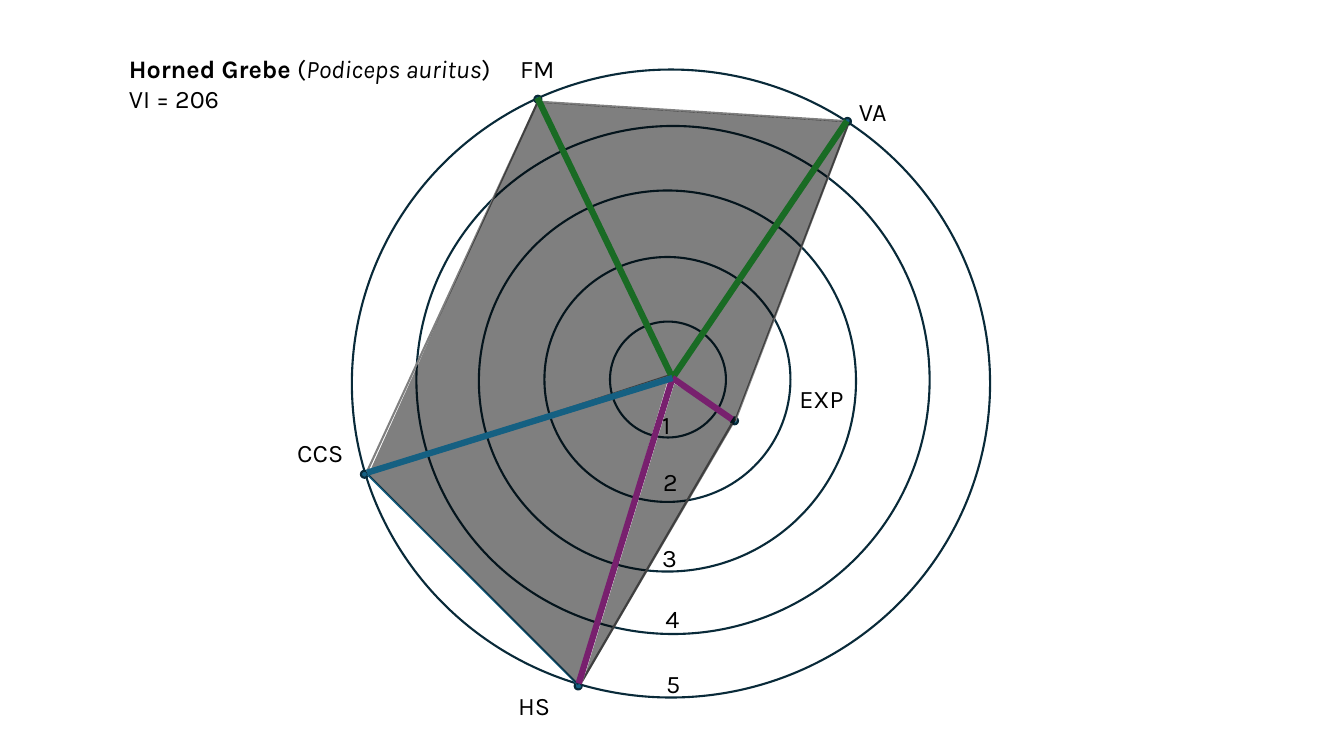
"""Radar diagram of the vulnerability scores of the Horned Grebe."""
from lxml.etree import SubElement
from pptx import Presentation
from pptx.dml.color import RGBColor
from pptx.enum.shapes import MSO_CONNECTOR, MSO_SHAPE
from pptx.enum.text import MSO_AUTO_SIZE
from pptx.oxml.ns import qn
from pptx.util import Cm, Pt

FONT = "Karla"
CM_PER_INCH = 2.54
DOT_SIZE = 0.07
COLORS = {
    "text": "000000", "ring": "092A39", "edge": "808080", "area": "000000",
    "green": "196B24", "purple": "78206E", "blue": "156082",
}

TITLE = [
    [("Horned Grebe ", True, False), ("(", False, False),
     ("Podiceps auritus", False, True), (")", False, False)],
    [("VI = 206", False, False)],
]
TITLE_BOX = (1.18, 0.48, 3.93, 0.71)
CENTER = (6.67, 3.75)
RINGS = [
    (6.05, 3.19, 1.15, 1.15), (5.4, 2.55, 2.44, 2.43), (4.75, 1.89, 3.74, 3.78),
    (4.13, 1.25, 5.09, 5.04), (3.49, 0.69, 6.33, 6.23),
]
SCALE_SPOTS = [(6.47, 4.01), (6.48, 4.58), (6.47, 5.33), (6.5, 5.94), (6.51, 6.58)]
# name, label corner, dot corner, spoke tip, spoke colour
AXES = [
    ("FM", (5.06, 0.48), (5.3, 0.95), (5.33, 0.97), "green"),
    ("VA", (8.42, 0.91), (8.37, 1.17), (8.4, 1.2), "green"),
    ("EXP", (7.83, 3.75), (7.25, 4.14), (7.26, 4.16), "purple"),
    ("HS", (5.04, 6.8), (5.7, 6.77), (5.74, 6.78), "purple"),
    ("CCS", (2.85, 4.29), (3.58, 4.67), (3.64, 4.69), "blue"),
]
EDGES = [
    ((5.33, 1.02), (3.64, 4.68), "edge"), ((3.65, 4.71), (5.76, 6.82), "blue"),
    ((5.36, 1.01), (8.37, 1.2), "edge"), ((8.41, 1.24), (7.29, 4.18), "edge"),
    ((7.26, 4.2), (5.76, 6.78), "edge"),
]
SECTORS = [
    ((3.56, 2.15, 4, 2.33), 114.3, 0.48), ((5.9, 2.19, 3.23, 0.74), 291, 0.07),
    ((5.28, 1.11, 3.01, 2.61), 183.6, 0.51), ((4.73, 4.93, 3.01, 0.71), 300.3, 1),
    ((4.2, 3.34, 2.97, 2.82), 45.1, 0.48),
]


def lengths(inches):
    return [Cm(value * CM_PER_INCH) for value in inches]


def color(name):
    return RGBColor.from_string(COLORS[name])


def add_text(page, frame, paragraphs, wrap=True):
    box = page.shapes.add_textbox(*lengths(frame))
    text = box.text_frame
    text.word_wrap = wrap
    text.auto_size = MSO_AUTO_SIZE.SHAPE_TO_FIT_TEXT
    for index, runs in enumerate(paragraphs):
        para = text.add_paragraph() if index else text.paragraphs[0]
        for words, bold, italic in runs:
            span = para.add_run()
            span.text = words
            span.font.name, span.font.size = FONT, Pt(18)
            span.font.bold, span.font.italic = bold, italic
            span.font.color.rgb = color("text")


def add_label(page, corner, words, width):
    add_text(page, (*corner, width, 0.4), [[(words, False, False)]])


def add_circle(shapes, frame, fill=None):
    circle = shapes.add_shape(MSO_SHAPE.FLOWCHART_CONNECTOR, *lengths(frame))
    circle.shadow.inherit = False
    circle.line.color.rgb, circle.line.width = color("ring"), Pt(1.5)
    if fill:
        circle.fill.solid()
        circle.fill.fore_color.rgb = color(fill)
    else:
        circle.fill.background()


def add_line(page, start, end, name, width):
    line = page.shapes.add_connector(MSO_CONNECTOR.STRAIGHT, *lengths(start + end))
    line.line.color.rgb, line.line.width = color(name), Pt(width)
    SubElement(line.element.spPr, qn("a:effectLst"))


def add_sector(page, frame, angle, apex):
    sector = page.shapes.add_shape(MSO_SHAPE.ISOSCELES_TRIANGLE, *lengths(frame))
    sector.adjustments[0] = apex
    sector.rotation = angle
    sector.shadow.inherit = False
    sector.line.fill.background()
    sector.fill.solid()
    sector.fill.fore_color.rgb = color("area")
    shade = sector.element.spPr.find(qn("a:solidFill"))[0]
    SubElement(shade, qn("a:alpha"), val="50000")


def main():
    deck = Presentation()
    deck.slide_width, deck.slide_height = lengths((13.33, 7.5))
    page = deck.slides.add_slide(deck.slide_layouts[6])
    add_text(page, TITLE_BOX, TITLE, wrap=False)
    rings = page.shapes.add_group_shape()
    for frame in RINGS:
        add_circle(rings.shapes, frame)
    for score, corner in enumerate(SCALE_SPOTS, 1):
        add_label(page, corner, str(score), 0.46)
    for name, label, dot, tip, hue in AXES:
        add_label(page, label, name, 0.77)
        add_circle(page.shapes, (*dot, DOT_SIZE, DOT_SIZE), "blue")
    for start, end, hue in EDGES:
        add_line(page, start, end, hue, 1.5)
    for frame, angle, apex in SECTORS:
        add_sector(page, frame, angle, apex)
    for name, label, dot, tip, hue in AXES:
        add_line(page, CENTER, tip, hue, 4.5)
    deck.save("out.pptx")


if __name__ == "__main__":
    main()
